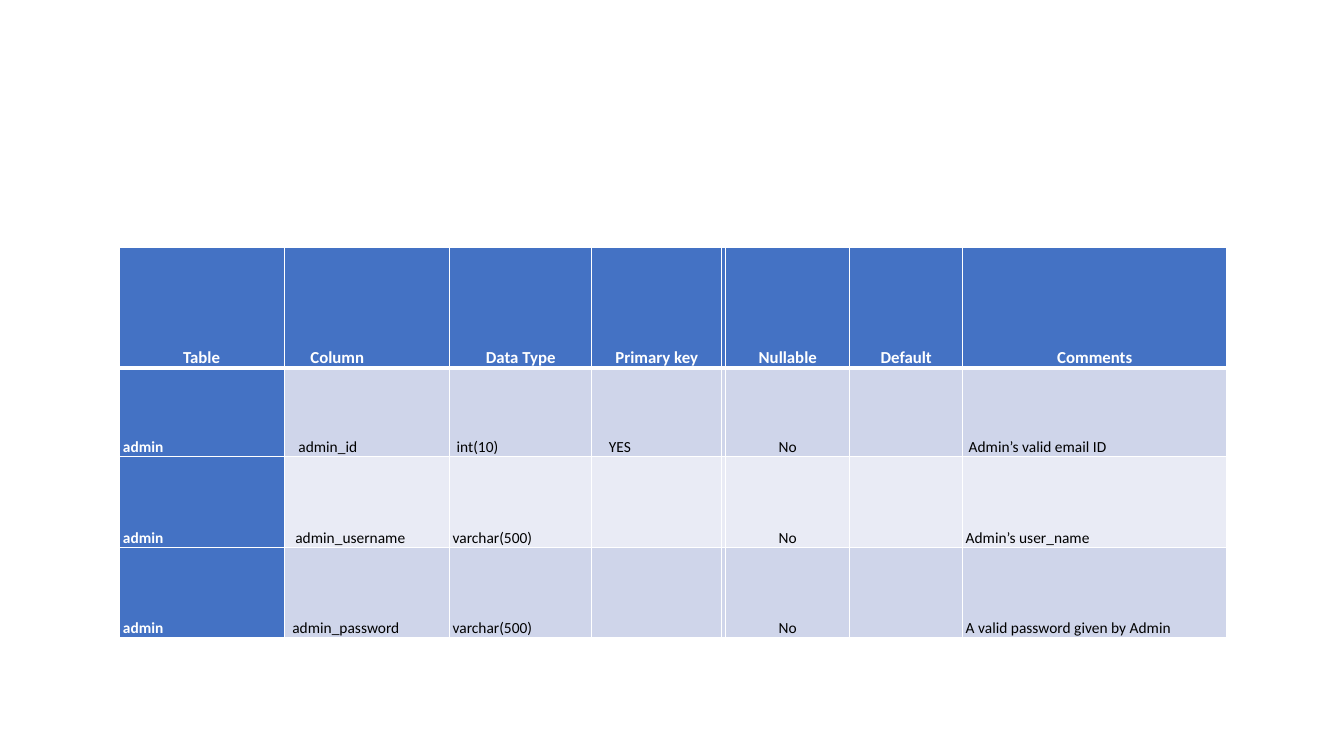
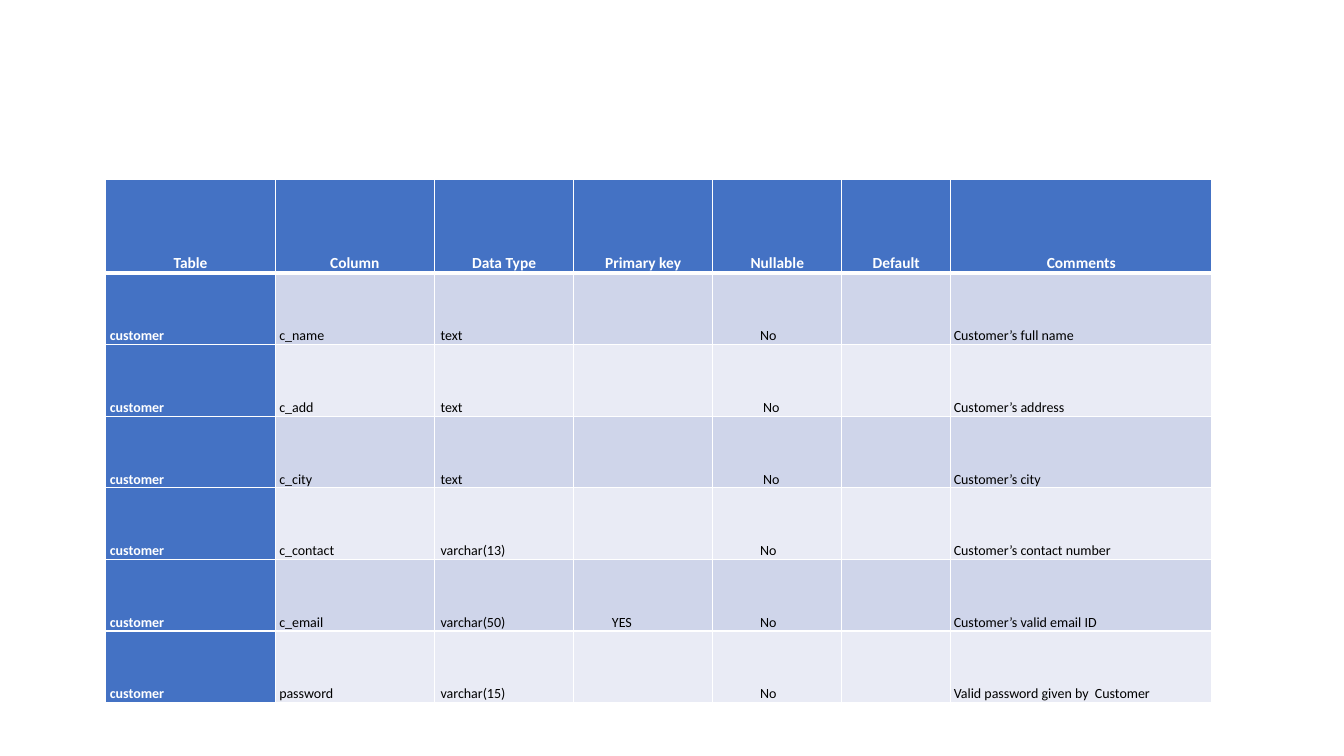
from pptx import Presentation
from pptx.dml.color import RGBColor
from pptx.enum.text import MSO_ANCHOR as Anchor, PP_ALIGN as Align
from pptx.oxml.ns import qn
from pptx.util import Inches, Pt
from lxml.etree import SubElement

FONT = "Calibri"
WHITE, BLACK, BLUE = "FFFFFF", "000000", "4472C4"
BANDS = ("CFD5EA", "E9EBF5")
THIN, THICK = 1, 3
BLANK_LAYOUT = 6

# Each column: heading, width, alignment of its values, left indent of its values
ADMIN = {
    "box": (1.18, 2.45, 10.98, 3.88),
    "columns": [
        ("Table", 1.64, Align.LEFT, 0.04),
        ("Column", 1.64, Align.LEFT, 0.11),
        ("Data Type", 1.41, Align.LEFT, 0.03),
        ("Primary key", 1.29, Align.LEFT, 0.17),
        ("", 0.03, Align.LEFT, 0),
        ("Nullable", 1.23, Align.CENTER, 0),
        ("Default", 1.12, Align.CENTER, 0),
        ("Comments", 2.62, Align.LEFT, 0.03),
    ],
    "rows": [
        ("admin", "admin_id", "int(10)", "YES", "", "No", "", "Admin’s valid email ID"),
        ("admin", "admin_username", "varchar(500)", "", "", "No", "", "Admin’s user_name"),
        ("admin", "admin_password", "varchar(500)", "", "", "No", "",
         "A valid password given by Admin"),
    ],
    "heights": [1.2, 0.88, 0.9, 0.9],
    "sizes": (12, 11),
    "left_headings": {"Column": 0.26},
    "indents": {(1, 1): 0.14, (3, 1): 0.08, (1, 2): 0.07, (1, 7): 0.06},
}

CUSTOMER = {
    "box": (1.05, 1.78, 10.97, 5.19),
    "columns": [
        ("Table", 1.68, Align.LEFT, 0.04),
        ("Column", 1.58, Align.LEFT, 0.04),
        ("Data Type", 1.38, Align.LEFT, 0.06),
        ("Primary key", 1.38, Align.LEFT, 0.38),
        ("Nullable", 1.28, Align.LEFT, 0.47),
        ("Default", 1.08, Align.CENTER, 0),
        ("Comments", 2.59, Align.LEFT, 0.03),
    ],
    "rows": [
        ("customer", "c_name", "text", "", "No", "", "Customer’s full name"),
        ("customer", "c_add", "text", "", "No", "", "Customer’s address"),
        ("customer", "c_city", "text", "", "No", "", "Customer’s city"),
        ("customer", "c_contact", "varchar(13)", "", "No", "", "Customer’s contact number"),
        ("customer", "c_email", "varchar(50)", "YES", "No", "", "Customer’s valid email ID"),
        ("customer", "password", "varchar(15)", "", "No", "",
         "Valid password given by  Customer"),
    ],
    "heights": [0.93] + [0.71] * 6,
    "sizes": (11, 10),
    "left_headings": {},
    "indents": {(2, 4): 0.5, (3, 4): 0.5},
}


def color(value):
    return RGBColor.from_string(value)


def set_borders(cell, row):
    """White cell lines, with a thick one under the heading row."""
    widths = {
        "a:lnL": THIN,
        "a:lnR": THIN,
        "a:lnT": THICK if row == 1 else THIN,
        "a:lnB": THICK if row == 0 else THIN,
    }
    properties = cell._tc.get_or_add_tcPr()
    for tag, width in widths.items():
        line = SubElement(properties, qn(tag), w=str(Pt(width)))
        fill = SubElement(line, qn("a:solidFill"))
        SubElement(fill, qn("a:srgbClr"), val=WHITE)


def format_cell(cell, text, row, fill, align, indent, size, strong):
    layout = {
        "margin_left": Inches(indent),
        "margin_right": 0,
        "margin_top": 0,
        "margin_bottom": 0,
        "vertical_anchor": Anchor.BOTTOM,
    }
    for name, value in layout.items():
        setattr(cell, name, value)
    set_borders(cell, row)
    cell.fill.solid()
    cell.fill.fore_color.rgb = color(fill)

    cell.text = text
    para = cell.text_frame.paragraphs[0]
    para.alignment = align
    for font in [para.font] + [span.font for span in para.runs]:
        for name, value in {"name": FONT, "size": Pt(size), "bold": strong}.items():
            setattr(font, name, value)
        font.color.rgb = color(WHITE if strong else BLACK)


def add_schema_table(page, schema):
    """Draw one database table description inside its box."""
    columns, heights = schema["columns"], schema["heights"]
    box = [Inches(length) for length in schema["box"]]
    table = page.shapes.add_table(len(heights), len(columns), *box).table
    table.first_row = table.horz_banding = False
    for row, height in enumerate(heights):
        table.rows[row].height = Inches(height)

    heading_size, value_size = schema["sizes"]
    for index, (heading, width, align, indent) in enumerate(columns):
        table.columns[index].width = Inches(width)

        # Heading, centred unless it has its own indent
        left = schema["left_headings"].get(heading)
        format_cell(table.cell(0, index), heading, 0, BLUE,
                    Align.CENTER if left is None else Align.LEFT,
                    left or 0, heading_size, True)

        # Values, banded except for the first column
        for row, values in enumerate(schema["rows"], start=1):
            strong = index == 0
            format_cell(table.cell(row, index), values[index], row,
                        BLUE if strong else BANDS[(row - 1) % 2], align,
                        schema["indents"].get((row, index), indent),
                        value_size, strong)


def main():
    deck = Presentation()
    deck.slide_width, deck.slide_height = Inches(13.33), Inches(7.5)
    for schema in (ADMIN, CUSTOMER):
        page = deck.slides.add_slide(deck.slide_layouts[BLANK_LAYOUT])
        add_schema_table(page, schema)
    deck.save("out.pptx")


if __name__ == "__main__":
    main()
